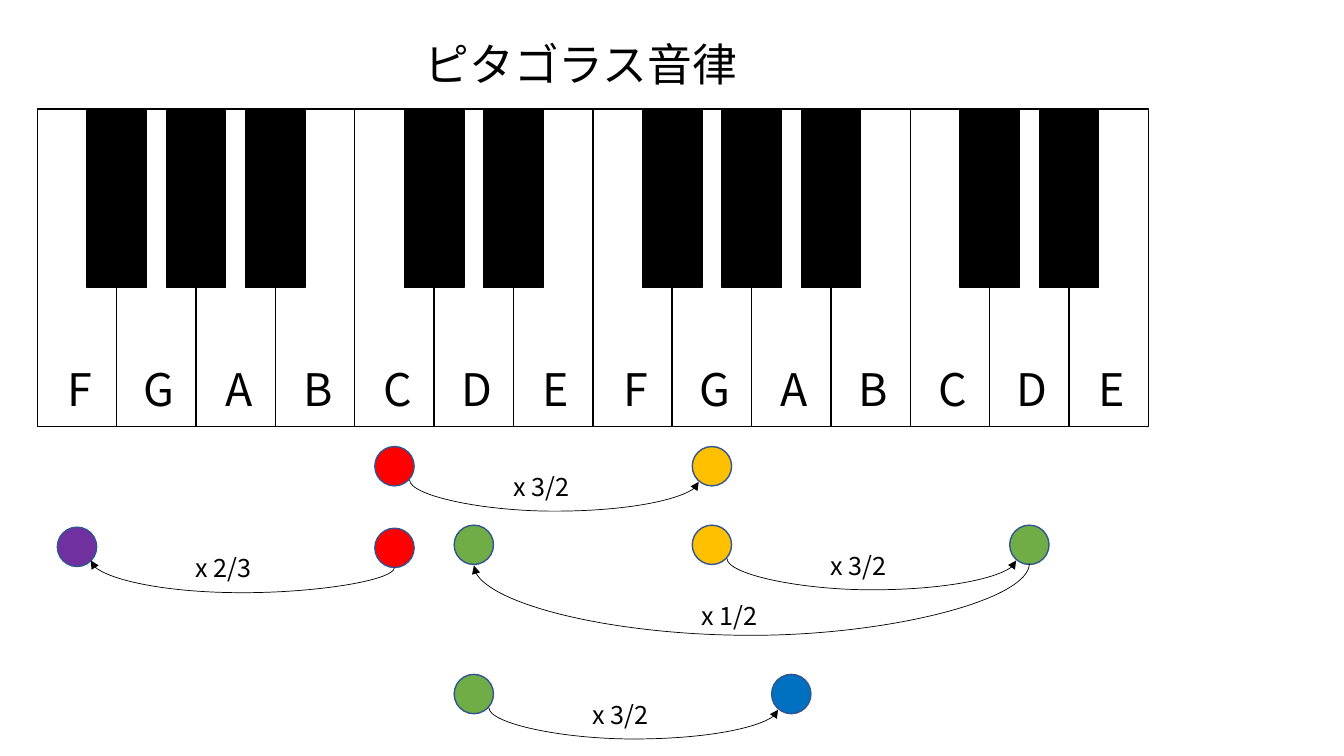
from dataclasses import dataclass

from lxml.etree import SubElement
from pptx import Presentation
from pptx.dml.color import RGBColor
from pptx.enum.shapes import MSO_CONNECTOR, MSO_SHAPE
from pptx.enum.text import MSO_ANCHOR, MSO_AUTO_SIZE, PP_ALIGN
from pptx.oxml.ns import qn
from pptx.util import Inches, Pt


@dataclass(frozen=True)
class Theme:
    """Colours, font and type sizes of the slide."""
    font: str = "Noto Sans CJK JP"
    large: int = 32
    small: int = 18
    black: str = "000000"
    white: str = "FFFFFF"
    outline: str = "325491"
    red: str = "FF0000"
    amber: str = "FFC000"
    green: str = "70AD47"
    blue: str = "0070C0"
    purple: str = "7030A0"


THEME = Theme()
KEY_NAMES = "FGABCDEFGABCDE"
SHARP_NAMES = "FGACD"
KEYBOARD_LEFT, KEYBOARD_TOP = 0.37, 1.08
KEY_WIDTH = 11.02 / len(KEY_NAMES)
WHITE_HEIGHT = 3.15
BLACK_WIDTH, BLACK_HEIGHT = 0.59, 1.77
DOT_SIZE = 0.39
# Positions of keys on the keyboard
LOW_F, MIDDLE_C, MIDDLE_D, MIDDLE_G, MIDDLE_A, HIGH_D = 0, 4, 5, 8, 9, 12


def key_center(key):
    """Return the horizontal centre of a white key."""
    return KEYBOARD_LEFT + (key + 0.5) * KEY_WIDTH


def add_outlined(slide, preset, box, fill, line):
    """Add a filled preset shape with a 1 pt outline."""
    shape = slide.shapes.add_shape(preset, *map(Inches, box))
    shape.shadow.inherit = False
    shape.fill.solid()
    shape.fill.fore_color.rgb = RGBColor.from_string(fill)
    shape.line.color.rgb = RGBColor.from_string(line)
    shape.line.width = Pt(1)


def format_text(shape, text, size, align):
    """Put one line of text in a shape and format it."""
    frame = shape.text_frame
    frame.text = text
    frame.word_wrap = False
    frame.auto_size = MSO_AUTO_SIZE.NONE
    frame.vertical_anchor = MSO_ANCHOR.TOP
    paragraph = frame.paragraphs[0]
    paragraph.alignment = align
    font = paragraph.runs[0].font
    font.name = THEME.font
    font.size = Pt(size)
    font.color.rgb = RGBColor.from_string(THEME.black)
    properties = paragraph.runs[0].font._element
    SubElement(properties, qn("a:ea")).set("typeface", THEME.font)


def add_label(slide, box, text, size, align=PP_ALIGN.LEFT):
    """Add a text box with one line of text."""
    format_text(slide.shapes.add_textbox(*map(Inches, box)), text, size, align)


def add_title(slide, text):
    """Fill and place the title placeholder."""
    title = slide.shapes.title
    title.left, title.top = Inches(4.11), Inches(0.31)
    title.width, title.height = Inches(3.34), Inches(0.64)
    format_text(title, text, THEME.large, PP_ALIGN.LEFT)


def add_keyboard(slide):
    """Draw the white keys, the black keys and the note names."""
    for key in range(len(KEY_NAMES)):
        left = KEYBOARD_LEFT + key * KEY_WIDTH
        add_outlined(slide, MSO_SHAPE.RECTANGLE,
                     (left, KEYBOARD_TOP, KEY_WIDTH, WHITE_HEIGHT),
                     THEME.white, THEME.black)
    for key, name in enumerate(KEY_NAMES):
        if name in SHARP_NAMES:
            left = KEYBOARD_LEFT + (key + 1) * KEY_WIDTH - BLACK_WIDTH / 2
            add_outlined(slide, MSO_SHAPE.RECTANGLE,
                         (left, KEYBOARD_TOP, BLACK_WIDTH, BLACK_HEIGHT),
                         THEME.black, THEME.black)
        add_label(slide, (key_center(key) - 0.23, 3.54, 0.52, 0.64),
                  name, THEME.large, PP_ALIGN.CENTER)


def add_dot(slide, key, top, colour):
    """Add a coloured dot below a key."""
    add_outlined(slide, MSO_SHAPE.OVAL,
                 (key_center(key) - DOT_SIZE / 2, top, DOT_SIZE, DOT_SIZE),
                 colour, THEME.outline)


def add_arc(slide, start, end, bottom):
    """Add a curved arrow that hangs from start to end down to bottom."""
    (start_x, start_y), (end_x, end_y) = start, end
    width, height = abs(end_y - start_y), abs(end_x - start_x)
    left = (start_x + end_x - width) / 2
    top = (start_y + end_y - height) / 2
    arc = slide.shapes.add_connector(
        MSO_CONNECTOR.CURVE, Inches(left), Inches(top),
        Inches(left + width), Inches(top + height))
    arc.line.width = Pt(0.5)
    arc.line.color.rgb = RGBColor.from_string(THEME.black)
    SubElement(arc.line._get_or_add_ln(), qn("a:tailEnd")).set("type", "triangle")

    properties = arc._element.spPr
    SubElement(properties, qn("a:effectLst"))
    # A quarter turn makes the connector leave and arrive vertically
    rightward, downward = end_x > start_x, end_y > start_y
    frame = properties.find(qn("a:xfrm"))
    frame.set("rot", str((270 if rightward else 90) * 60000))
    if rightward == downward:
        frame.set("flipH", "1")
    geometry = properties.find(qn("a:prstGeom"))
    adjustments = geometry.find(qn("a:avLst"))
    if adjustments is None:
        adjustments = SubElement(geometry, qn("a:avLst"))
    guide = SubElement(adjustments, qn("a:gd"))
    guide.set("name", "adj1")
    ratio = (bottom - start_y) / (end_y - start_y)
    guide.set("fmla", f"val {round(ratio * 100000)}")


def add_ratio(slide, left, top, text):
    """Add the frequency ratio of an arc."""
    add_label(slide, (left, top, 0.8, 0.4), text, THEME.small)


def add_fifth(slide, start_key, end_key, top, start_colour, end_colour):
    """Add two dots joined by an arc that goes up a fifth."""
    start, end = key_center(start_key), key_center(end_key)
    add_dot(slide, start_key, top, start_colour)
    add_dot(slide, end_key, top, end_colour)
    add_arc(slide, (start + 0.15, top + 0.33), (end - 0.13, top + 0.35),
            top + 0.64)
    add_ratio(slide, start + 1.08, top + 0.2, "x 3/2")


def main():
    """Build the slide and save it."""
    presentation = Presentation()
    presentation.slide_width = Inches(13.33)
    presentation.slide_height = Inches(7.5)
    slide = presentation.slides.add_slide(presentation.slide_layouts[5])

    add_title(slide, "ピタゴラス音律")
    add_keyboard(slide)

    add_fifth(slide, MIDDLE_C, MIDDLE_G, 4.43, THEME.red, THEME.amber)
    add_fifth(slide, MIDDLE_G, HIGH_D, 5.21, THEME.amber, THEME.green)
    add_fifth(slide, MIDDLE_D, MIDDLE_A, 6.69, THEME.green, THEME.blue)

    # Down an octave
    add_dot(slide, MIDDLE_D, 5.21, THEME.green)
    add_arc(slide, (key_center(HIGH_D), 5.59), (key_center(MIDDLE_D), 5.61), 6.3)
    add_ratio(slide, 6.86, 5.91, "x 1/2")

    # Down a fifth
    add_dot(slide, LOW_F, 5.23, THEME.purple)
    add_dot(slide, MIDDLE_C, 5.24, THEME.red)
    add_arc(slide, (key_center(MIDDLE_C), 5.63), (0.9, 5.56), 5.88)
    add_ratio(slide, 1.84, 5.43, "x 2/3")

    presentation.save("out.pptx")


main()
